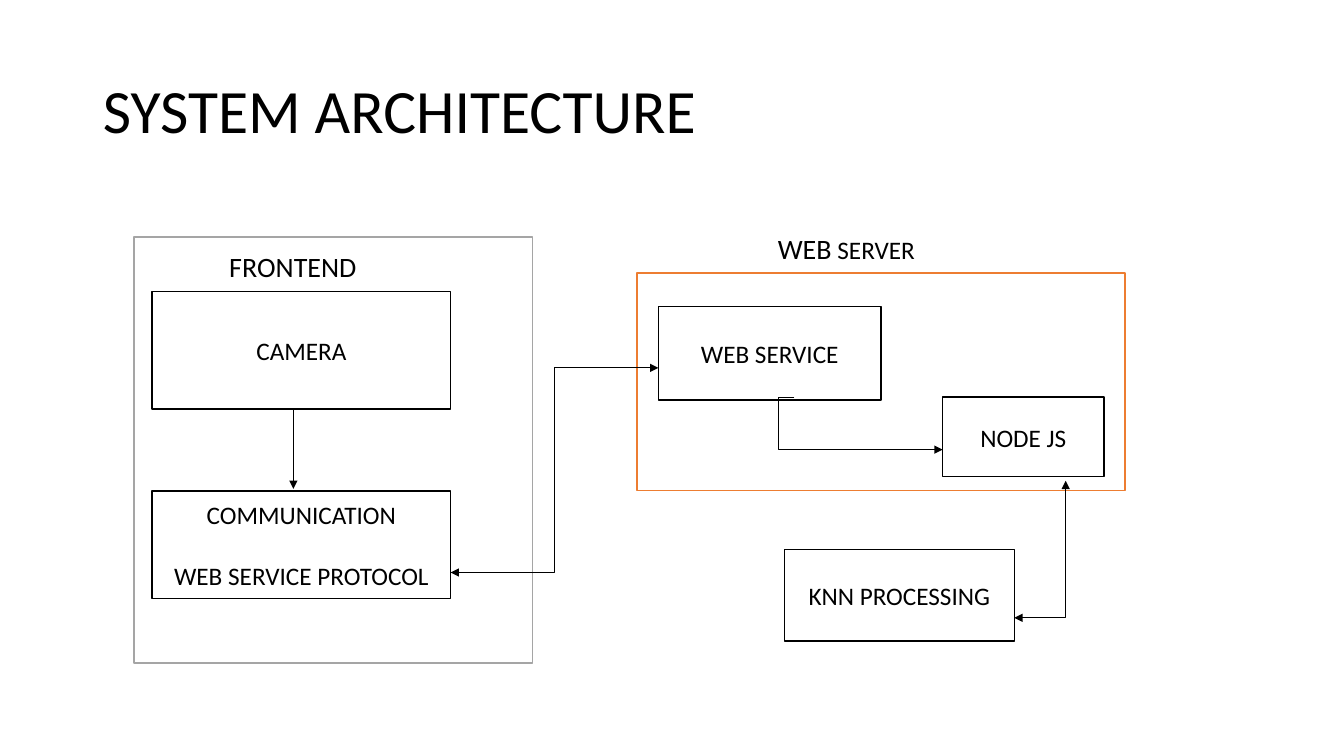
from lxml import etree
from pptx import Presentation
from pptx import util as u
from pptx.dml.color import RGBColor
from pptx.enum import shapes, text
from pptx.oxml import ns

FONT = "Calibri"
BLACK, WHITE, GREY, ORANGE = "000000", "FFFFFF", "A5A5A5", "ED7D31"


def color(value):
    return RGBColor.from_string(value)


def place(box, left, top, width, height):
    return box[0] + left, box[1] + top, width, height


def lengths(values):
    return [u.Inches(value) for value in values]


def write(paragraph, content, size=18, align=text.PP_ALIGN.CENTER, before=0):
    paragraph.alignment = align
    paragraph.space_before = u.Pt(before)
    run = paragraph.add_run()
    run.text = content
    run.font.name = FONT
    run.font.size = u.Pt(size)
    run.font.color.rgb = color(BLACK)


def add_box(slide, box, lines=(), line=BLACK, gap=0):
    shape = slide.shapes.add_shape(shapes.MSO_SHAPE.RECTANGLE, *lengths(box))
    shape.shadow.inherit = False
    shape.fill.solid()
    shape.fill.fore_color.rgb = color(WHITE)
    shape.line.color.rgb = color(line)
    shape.line.width = u.Pt(1)
    frame = shape.text_frame
    frame.vertical_anchor = text.MSO_ANCHOR.MIDDLE
    for index, content in enumerate(lines):
        paragraph = frame.add_paragraph() if index else frame.paragraphs[0]
        write(paragraph, content, before=gap if index else 0)


def add_label(slide, box, runs):
    frame = slide.shapes.add_textbox(*lengths(box)).text_frame
    frame.word_wrap = False
    for content, size in runs:
        write(frame.paragraphs[0], content, size=size)


def add_arrow(slide, start, end, kind="line", bend=None, both=False):
    connector_type = shapes.MSO_CONNECTOR.STRAIGHT if kind == "line" else shapes.MSO_CONNECTOR.ELBOW
    connector = slide.shapes.add_connector(connector_type, *lengths(start + end))
    connector.line.color.rgb = color(BLACK)
    connector.line.width = u.Pt(0.5)
    properties = connector.element.spPr
    geometry = properties.find(ns.qn("a:prstGeom"))
    geometry.set("prst", kind)
    if bend is not None:
        adjustments = geometry.find(ns.qn("a:avLst"))
        etree.SubElement(adjustments, ns.qn("a:gd"), name="adj1", fmla=f"val {bend}")
    line = properties.find(ns.qn("a:ln"))
    for end_name in ("headEnd", "tailEnd") if both else ("tailEnd",):
        etree.SubElement(line, ns.qn(f"a:{end_name}"), type="triangle")
    etree.SubElement(properties, ns.qn("a:effectLst"))


def add_title(slide, box, content):
    title = slide.shapes.title
    title.left, title.top, title.width, title.height = lengths(box)
    frame = title.text_frame
    frame.auto_size = text.MSO_AUTO_SIZE.NONE
    frame.vertical_anchor = text.MSO_ANCHOR.MIDDLE
    paragraph = frame.paragraphs[0]
    paragraph.line_spacing = 0.9
    write(paragraph, content, size=44, align=text.PP_ALIGN.LEFT)


def add_frontend(slide, box):
    add_box(slide, box, line=GREY)
    add_box(slide, place(box, 0.18, 0.54, 2.96, 1.17), ["CAMERA"])
    add_box(slide, place(box, 0.18, 2.52, 2.96, 1.07),
            ["COMMUNICATION", "WEB SERVICE PROTOCOL"], gap=22)
    add_label(slide, place(box, 0.84, 0.08, 1.47, 0.44), [("FRONTEND", 20)])
    left, top = box[:2]
    add_arrow(slide, (left + 1.58, top + 1.71), (left + 1.58, top + 2.5))


def add_web_server(slide, box):
    add_box(slide, box, line=ORANGE)
    add_box(slide, place(box, 0.21, 0.33, 2.21, 0.93), ["WEB SERVICE"])
    add_box(slide, place(box, 3.03, 1.23, 1.6, 0.79), ["NODE JS"])
    add_label(slide, place(box, 1.29, -0.46, 1.57, 0.44), [("WEB", 20), (" SERVER", 18)])
    left, top = box[:2]
    add_arrow(slide, (left + 1.56, top + 1.23), (left + 3.03, top + 1.75),
              kind="bentConnector3", bend=-11100)


def add_processing(slide, box):
    add_box(slide, box, ["KNN PROCESSING"])
    right, top = box[0] + box[2], box[1]
    add_arrow(slide, (right, top + 0.68), (right + 0.51, top - 0.68),
              kind="bentConnector2", both=True)


presentation = Presentation()
presentation.slide_width = u.Inches(13.33)
presentation.slide_height = u.Inches(7.5)
slide = presentation.slides.add_slide(presentation.slide_layouts.get_by_name("Title Only"))
add_title(slide, (0.92, 0.4, 11.5, 1.45), "SYSTEM ARCHITECTURE")
add_frontend(slide, (1.33, 2.35, 3.95, 4.23))
add_web_server(slide, (6.32, 2.71, 4.84, 2.16))
add_processing(slide, (7.78, 5.45, 2.28, 0.91))
add_arrow(slide, (4.47, 5.68), (6.53, 3.65), kind="bentConnector3", both=True)
presentation.save("out.pptx")
